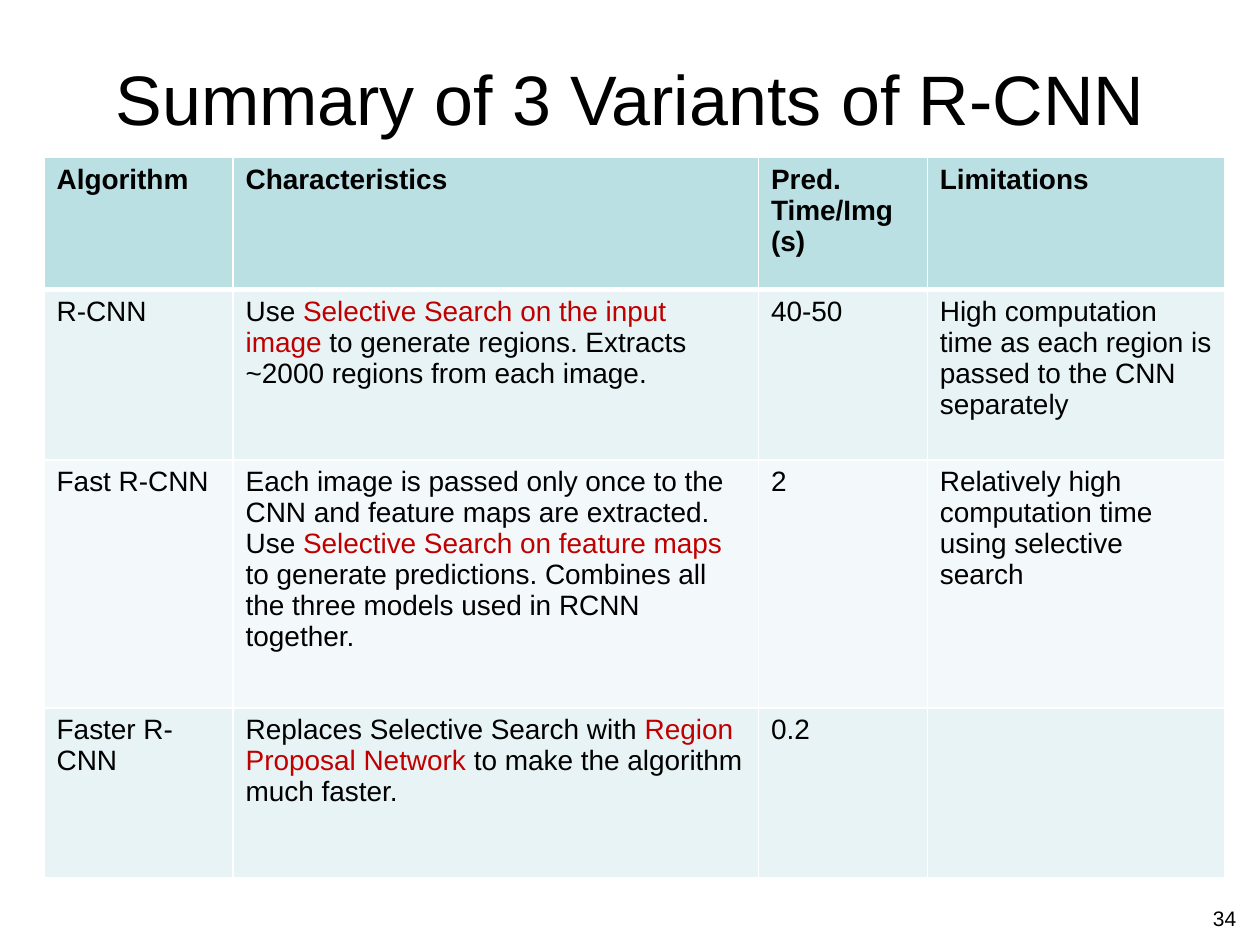
from lxml import etree
from pptx import Presentation
from pptx.dml.color import RGBColor
from pptx.enum.text import MSO_ANCHOR, PP_ALIGN
from pptx.oxml.ns import qn
from pptx.util import Inches, Pt

CENTER, RIGHT = PP_ALIGN.CENTER, PP_ALIGN.RIGHT
MIDDLE = MSO_ANCHOR.MIDDLE
TITLE_ONLY = 5

BLACK, WHITE, RED = "000000", "FFFFFF", "C00000"
HEADER_FILL = "BBE0E3"
BAND_FILLS = ["E7F3F4", "F3F9FA"]

COL_WIDTHS = [1.5, 4.17, 1.34, 2.36]
ROW_HEIGHTS = [1.05, 1.35, 1.97, 1.35]

# A cell is a list of runs; every second run is highlighted.
ROWS = [
    [["Algorithm"], ["Characteristics"], ["Pred. Time/Img (s)"], ["Limitations"]],
    [["R-CNN"],
     ["Use ", "Selective Search on the input image",
      " to generate regions. Extracts ~2000 regions from each image."],
     ["40-50"],
     ["High computation time as each region is passed to the CNN separately"]],
    [["Fast R-CNN"],
     ["Each image is passed only once to the CNN and feature maps are extracted. Use",
      " Selective Search on feature maps ",
      "to generate predictions. Combines all the three models used in RCNN together."],
     ["2"],
     ["Relatively high computation time using selective search"]],
    [["Faster R-CNN"],
     ["Replaces Selective Search with ", "Region Proposal Network ",
      "to make the algorithm much faster."],
     ["0.2"],
     []],
]


def rgb(color):
    return RGBColor.from_string(color)


def set_font(p, size, bold=False):
    p.font.name = "Arial"
    p.font.size = Pt(size)
    p.font.bold = bold
    p.font.color.rgb = rgb(BLACK)


def set_borders(cell, top, bottom):
    """Give the cell white borders; call before setting its fill."""
    tcPr = cell._tc.get_or_add_tcPr()
    for side, width in (("L", 1), ("R", 1), ("T", top), ("B", bottom)):
        ln = etree.SubElement(tcPr, qn(f"a:ln{side}"), w=str(Pt(width)))
        fill = etree.SubElement(ln, qn("a:solidFill"))
        etree.SubElement(fill, qn("a:srgbClr"), val=WHITE)


def add_title(slide, x, y, w, h):
    title = slide.shapes.title
    title.left, title.top, title.width, title.height = map(Inches, (x, y, w, h))
    tf = title.text_frame
    tf.text = "Summary of 3 Variants of R-CNN"
    tf.vertical_anchor = MIDDLE
    p = tf.paragraphs[0]
    p.alignment = CENTER
    set_font(p, 40)


def fill_cell(cell, runs, row):
    header = row == 0
    set_borders(cell, top=3 if row == 1 else 1, bottom=3 if header else 1)
    cell.fill.solid()
    color = HEADER_FILL if header else BAND_FILLS[(row - 1) % 2]
    cell.fill.fore_color.rgb = rgb(color)
    p = cell.text_frame.paragraphs[0]
    set_font(p, 16, bold=header)
    for i, text in enumerate(runs):
        r = p.add_run()
        r.text = text
        if i % 2:
            r.font.color.rgb = rgb(RED)


def add_comparison_table(slide, x, y):
    frame = slide.shapes.add_table(
        len(ROWS), len(COL_WIDTHS), Inches(x), Inches(y),
        Inches(sum(COL_WIDTHS)), Inches(sum(ROW_HEIGHTS)))
    table = frame.table
    for column, width in zip(table.columns, COL_WIDTHS):
        column.width = Inches(width)
    for row, height in zip(table.rows, ROW_HEIGHTS):
        row.height = Inches(height)
    for i, cells in enumerate(ROWS):
        for j, runs in enumerate(cells):
            fill_cell(table.cell(i, j), runs, i)


def add_page_number(slide, x, y, w, h):
    box = slide.shapes.add_textbox(*map(Inches, (x, y, w, h)))
    tf = box.text_frame
    tf.word_wrap = True
    tf.text = "34"
    p = tf.paragraphs[0]
    p.alignment = RIGHT
    set_font(p, 12)


def main():
    prs = Presentation()
    prs.slide_width, prs.slide_height = Inches(10), Inches(7.5)
    slide = prs.slides.add_slide(prs.slide_layouts[TITLE_ONLY])
    add_title(slide, 0.5, 0.3, 9, 0.95)
    add_comparison_table(slide, 0.35, 1.25)
    add_page_number(slide, 7.58, 7.14, 2.33, 0.27)
    prs.save("out.pptx")


if __name__ == "__main__":
    main()
